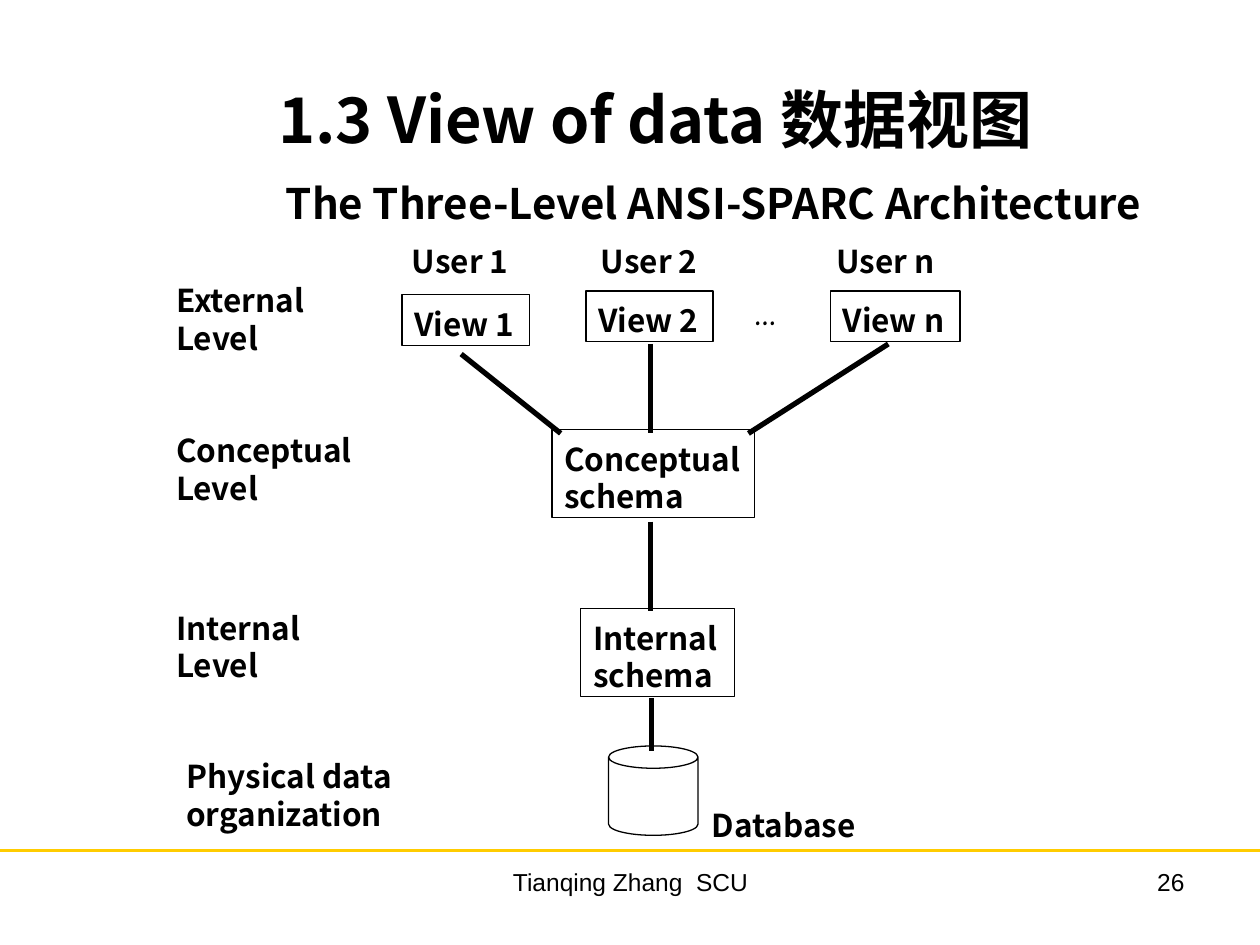
from lxml import etree
from pptx import Presentation
from pptx.dml.color import RGBColor
from pptx.enum.shapes import MSO_CONNECTOR as CONN, MSO_SHAPE as SHAPE
from pptx.enum.text import MSO_ANCHOR as ANCHOR, MSO_AUTO_SIZE as AUTO, PP_ALIGN as ALIGN
from pptx.oxml.ns import qn
from pptx.util import Inches, Pt

# Content: text, then left, top, width, height in inches
SANS = "Noto Sans CJK SC"
COLORS = {"ink": "000000", "paper": "FFFFFF", "rule": "FFCC00"}
TITLE = ("1.3 View of data 数据视图", (1.69, 0.28, 7.02, 1.25))
SUBTITLE = ("The Three-Level ANSI-SPARC Architecture", (2.17, 1.33, 7.47, 0.5))
LABELS = [
    ("User 1", (3.17, 1.84, 0.98, 0.4)),
    ("User 2", (4.67, 1.84, 0.98, 0.4)),
    ("User n", (6.54, 1.84, 1.0, 0.4)),
    ("External\nLevel", (1.3, 2.15, 1.42, 0.7)),
    ("Conceptual\nLevel", (1.3, 3.34, 1.73, 0.7)),
    ("Internal\nLevel", (1.3, 4.75, 1.42, 0.7)),
    ("Physical data\norganization", (1.38, 5.93, 1.85, 0.7)),
    ("Database", (5.55, 6.32, 1.37, 0.4)),
]
ELLIPSIS = ("…", (5.89, 2.25, 0.36, 0.4))
BOXES = [
    ("View 1", (3.19, 2.34, 1.01, 0.4)),
    ("View 2", (4.65, 2.31, 1.01, 0.4)),
    ("View n", (6.59, 2.31, 1.03, 0.4)),
    ("Conceptual\nschema", (4.38, 3.41, 1.61, 0.7)),
    ("Internal\nschema", (4.61, 4.83, 1.22, 0.7)),
]
DATABASE = (4.83, 5.92, 0.71, 0.71)
LINKS = [
    (3.66, 2.81, 4.45, 3.44),
    (7.05, 2.73, 5.94, 3.44),
    (5.16, 2.73, 5.16, 3.44),
    (5.16, 4.14, 5.16, 4.85),
    (5.17, 5.54, 5.17, 5.96),
]
FOOTERS = [
    ("Tianqing Zhang  SCU", (3.42, 6.83, 3.17, 0.52), ALIGN.CENTER),
    ("26", (7.17, 6.83, 2.33, 0.52), ALIGN.RIGHT),
]


def color(name):
    return RGBColor.from_string(COLORS[name])


def inches(values):
    return [Inches(v) for v in values]


def write(sp, text, size=18, font=SANS, bold=True, align=ALIGN.LEFT,
          anchor=ANCHOR.TOP, wrap=False, top=0.08, leading=1.2):
    tf = sp.text_frame
    frame = {"margin_left": Inches(0.1), "margin_right": Inches(0.1),
             "margin_top": Inches(top), "margin_bottom": Inches(0.05),
             "word_wrap": wrap, "auto_size": AUTO.NONE, "vertical_anchor": anchor}
    for name, value in frame.items():
        setattr(tf, name, value)
    for i, line in enumerate(text.split("\n")):
        p = tf.add_paragraph() if i else tf.paragraphs[0]
        p.alignment = align
        if leading:
            p.line_spacing = Pt(size * leading)
        r = p.add_run()
        r.text = line
        for name, value in {"size": Pt(size), "name": font, "bold": bold}.items():
            setattr(r.font, name, value)
        r.font.color.rgb = color("ink")
        ea = etree.SubElement(r.font._element, qn("a:ea"))
        ea.set("typeface", font)


def add_text(s, text, at, **fmt):
    write(s.shapes.add_textbox(*inches(at)), text, **fmt)


def add_outline(s, kind, at):
    sp = s.shapes.add_shape(kind, *inches(at))
    sp.shadow.inherit = False
    sp.fill.solid()
    sp.fill.fore_color.rgb = color("paper")
    sp.line.color.rgb = color("ink")
    sp.line.width = Pt(0.75)
    return sp


def add_line(s, ends, name, width):
    line = s.shapes.add_connector(CONN.STRAIGHT, *inches(ends))
    line.line.color.rgb = color(name)
    line.line.width = Pt(width)
    etree.SubElement(line._element.spPr, qn("a:effectLst"))


def main():
    prs = Presentation()
    prs.slide_width, prs.slide_height = inches((10, 7.5))
    s = prs.slides.add_slide(prs.slide_layouts[5])

    # Footer
    add_line(s, (0, 6.75, 10, 6.75), "rule", 2.25)
    for text, at, align in FOOTERS:
        add_text(s, text, at, size=14, font="Arial", bold=False, align=align,
                 wrap=True, top=0.05, leading=None)

    # Headings
    title = s.shapes.title
    title.left, title.top, title.width, title.height = inches(TITLE[1])
    write(title, TITLE[0], size=36, align=ALIGN.CENTER, anchor=ANCHOR.MIDDLE,
          wrap=True, top=0.12)
    add_text(s, *SUBTITLE, size=24, wrap=True)

    # Levels, schemas and database
    for text, at in LABELS:
        add_text(s, text, at)
    add_text(s, *ELLIPSIS, font="Comic Neue")
    for text, at in BOXES:
        write(add_outline(s, SHAPE.RECTANGLE, at), text)
    add_outline(s, SHAPE.CAN, DATABASE).adjustments[0] = 0.25

    # Links between levels
    for ends in LINKS:
        add_line(s, ends, "ink", 3)

    prs.save("out.pptx")


if __name__ == "__main__":
    main()
